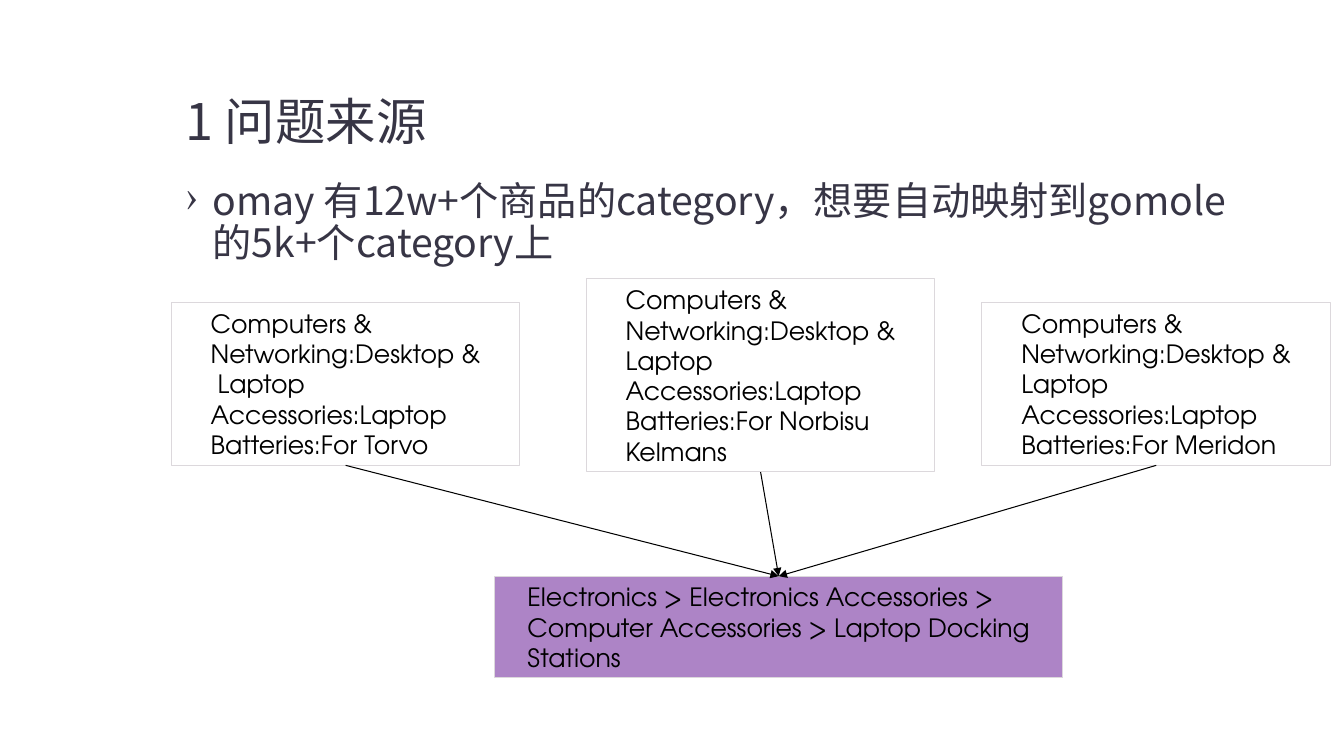
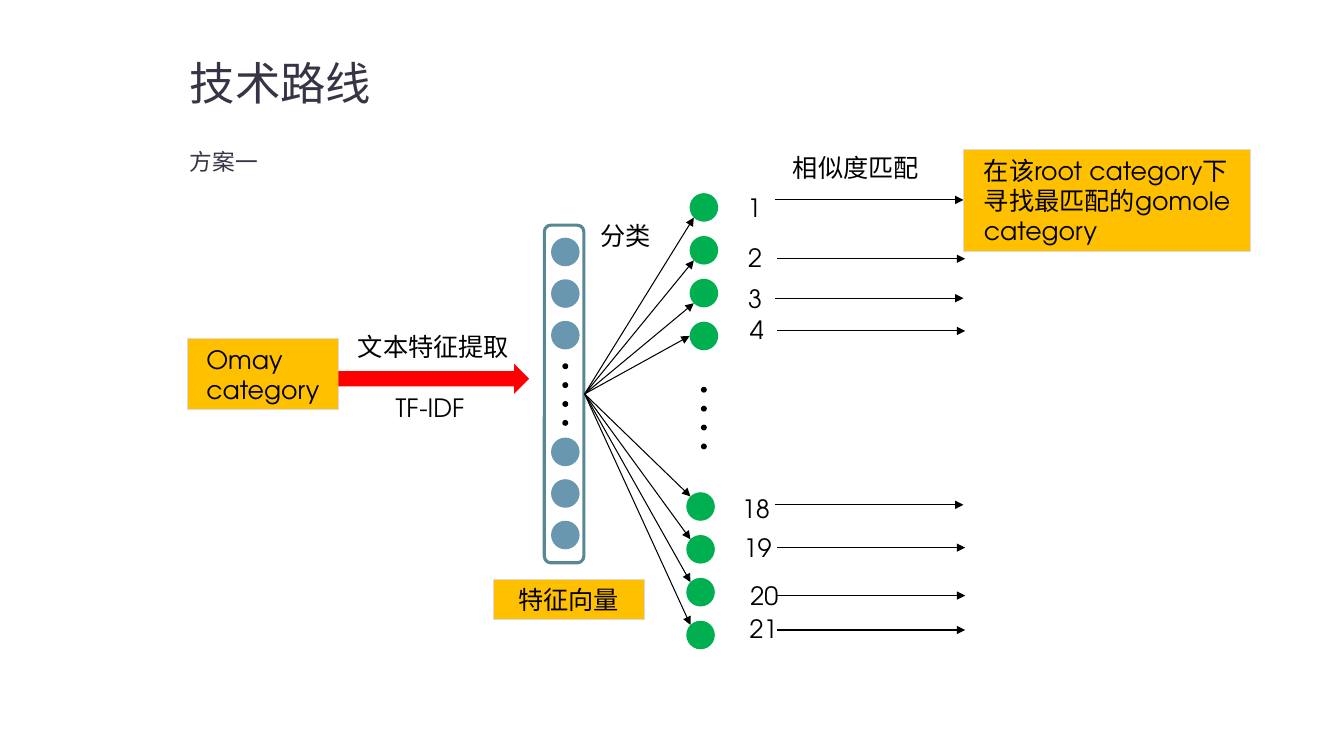
from lxml.etree import SubElement
from pptx import Presentation
from pptx.dml.color import RGBColor
from pptx.enum.shapes import MSO_CONNECTOR, MSO_SHAPE
from pptx.enum.text import MSO_ANCHOR, MSO_AUTO_SIZE, PP_ALIGN
from pptx.oxml.ns import qn
from pptx.util import Inches, Pt

COLORS = {
    "ink": "373545", "black": "000000", "white": "FFFFFF", "border": "DCD8DC",
    "purple": "AD84C6", "orange": "FFC000", "red": "FF0000",
    "frame": "588894", "feature": "6997AF", "root": "00B050",
}
LATIN, CHINESE = "TeX Gyre Adventor", "Noto Sans CJK SC"
COLUMNS, ROWS = 160, 90
DOT, CIRCLE = 0.7, 3.4
TITLE_SIZE = (128.4, 16.3)


class Deck:
    """Shared style, the grid and the slide being built."""

    def __init__(self):
        self.presentation = Presentation()
        self.presentation.slide_width = Inches(13.33)
        self.presentation.slide_height = Inches(7.5)
        self.slide = None

    def x(self, columns):
        return round(self.presentation.slide_width * columns / COLUMNS)

    def y(self, rows):
        return round(self.presentation.slide_height * rows / ROWS)

    def area(self, left, top, width, height):
        return self.x(left), self.y(top), self.x(width), self.y(height)

    def color(self, name):
        return RGBColor.from_string(COLORS[name])

    def format(self, paragraph, size, color="black", font=LATIN):
        paragraph.alignment = PP_ALIGN.LEFT
        for run in paragraph.runs:
            run.font.size = Pt(size)
            run.font.name = font
            run.font.color.rgb = self.color(color)
            SubElement(run.font._element, qn("a:ea"), typeface=CHINESE)

    def frame(self, shape, text, anchor, centred=False):
        text_frame = shape.text_frame
        text_frame.text = text
        text_frame.word_wrap = True
        text_frame.auto_size = MSO_AUTO_SIZE.NONE
        text_frame.vertical_anchor = anchor
        if centred:  # centre the block, keep its lines left-aligned
            text_frame._txBody.bodyPr.set("anchorCtr", "1")
        return text_frame.paragraphs

    def add_slide(self, left, top, text, sizes, gap=0):
        layout = self.presentation.slide_layouts[5]
        self.slide = self.presentation.slides.add_slide(layout)
        title = self.slide.shapes.title
        title.left, title.top, title.width, title.height = self.area(left, top, *TITLE_SIZE)
        paragraphs = self.frame(title, text, MSO_ANCHOR.BOTTOM)
        for index, (paragraph, size) in enumerate(zip(paragraphs, sizes)):
            self.format(paragraph, size, "ink", CHINESE)
            paragraph.line_spacing = 0.9
            paragraph.space_before = Pt(gap if index else 0)

    def bullet(self, left, top, width, height, text):
        shape = self.slide.shapes.add_textbox(*self.area(left, top, width, height))
        paragraph = self.frame(shape, text, MSO_ANCHOR.TOP)[0]
        self.format(paragraph, 28, "ink", CHINESE)
        paragraph.line_spacing = 0.9
        properties = paragraph._p.get_or_add_pPr()
        properties.set("marL", str(Inches(0.27)))
        properties.set("indent", str(-Inches(0.27)))
        SubElement(properties, qn("a:buChar"), char="›")

    def shape(self, kind, left, top, width, height, fill=None, line=None, weight=0.75):
        shape = self.slide.shapes.add_shape(kind, *self.area(left, top, width, height))
        shape.shadow.inherit = False
        if fill:
            shape.fill.solid()
            shape.fill.fore_color.rgb = self.color(fill)
        else:
            shape.fill.background()
        if line:
            shape.line.color.rgb = self.color(line)
            shape.line.width = Pt(weight)
        else:
            shape.line.fill.background()
        return shape

    def box(self, left, top, width, height, text, fill):
        shape = self.shape(MSO_SHAPE.RECTANGLE, left, top, width, height, fill, "border")
        for paragraph in self.frame(shape, text, MSO_ANCHOR.MIDDLE, True):
            self.format(paragraph, 18)
        return shape

    def label(self, center_x, center_y, text, width=22, height=4.8):
        shape = self.slide.shapes.add_textbox(
            *self.area(center_x - width / 2, center_y - height / 2, width, height))
        self.format(self.frame(shape, text, MSO_ANCHOR.MIDDLE, True)[0], 18)

    def circles(self, center_x, first_y, step, count, size, fill):
        """Draw a column of circles and return their centres."""
        centers = [(center_x, first_y + step * index) for index in range(count)]
        for x, y in centers:
            self.shape(MSO_SHAPE.OVAL, x - size / 2, y - size / 2, size, size, fill)
        return centers

    def arrow(self, start, end):
        connector = self.slide.shapes.add_connector(
            MSO_CONNECTOR.STRAIGHT,
            self.x(start[0]), self.y(start[1]), self.x(end[0]), self.y(end[1]))
        connector.line.color.rgb = self.color("black")
        connector.line.width = Pt(0.75)
        SubElement(connector.line._get_or_add_ln(), qn("a:tailEnd"), type="triangle")
        SubElement(connector._element.spPr, qn("a:effectLst"))
        return connector

    def join(self, source, target):
        """Link the bottom of one box to the top of another."""
        connector = self.arrow((0, 0), (1, 1))
        connector.begin_connect(source, 2)
        connector.end_connect(target, 0)


def build_problem(deck):
    deck.add_slide(20.9, 2.3, "1 问题来源", [36])
    deck.bullet(20.9, 21, 128.4, 60,
                "omay 有12w+个商品的category，想要自动映射到gomole的5k+个category上")

    # Source categories, all mapped to one target
    target = deck.box(58.9, 68.6, 67.6, 12.1,
                      "Electronics > Electronics Accessories > "
                      "Computer Accessories > Laptop Docking Stations", "purple")
    sources = [
        (20.4, 36, 19.4, "\n ", "Torvo"),
        (69.8, 33.2, 23, " ", "Norbisu Kelmans"),
        (116.9, 36, 19.4, " ", "Meridon"),
    ]
    for left, top, height, separator, maker in sources:
        text = (f"Computers & Networking:Desktop &{separator}"
                f"Laptop Accessories:Laptop Batteries:For {maker}")
        deck.join(deck.box(left, top, 41.5, height, text, "white"), target)


def build_route(deck):
    deck.add_slide(21.4, 5.2, "技术路线\n方案一", [32.4, 16.2], gap=29)

    # Text feature extraction
    deck.box(22.3, 40.3, 18, 8.5, "Omay category", "orange")
    deck.shape(MSO_SHAPE.RIGHT_ARROW, 40.3, 43.3, 22.7, 3.6, "red")
    deck.label(51.6, 41.3, "文本特征提取")
    deck.label(51.2, 48.5, "TF-IDF")

    # Feature vector
    deck.shape(MSO_SHAPE.ROUNDED_RECTANGLE, 64.8, 26.8, 4.7, 40.2, line="frame", weight=2.25)
    for first_y in (30, 53.8):
        deck.circles(67.3, first_y, 4.95, 3, CIRCLE, "feature")
    deck.circles(67.3, 43.6, 2.25, 4, DOT, "black")
    deck.box(58.7, 69, 18, 4.8, "特征向量", "orange")

    # Root categories, reached by a fan of arrows
    upper = deck.circles(83.8, 24.7, 5.1, 4, CIRCLE, "root")
    lower = deck.circles(83.4, 60.3, 5.1, 4, CIRCLE, "root")
    deck.circles(83.8, 46.4, 2.25, 4, DOT, "black")
    deck.label(74.5, 28, "分类")
    diagonal = 1.2
    ends = [(x - diagonal, y + diagonal) for x, y in upper[:-1]]
    ends.append((upper[-1][0] - CIRCLE / 2, upper[-1][1]))
    ends += [(x - diagonal, y - diagonal) for x, y in lower]
    for end in ends:
        deck.arrow((69.6, 46.9), end)

    # Numbered outputs: label centre, then arrow start
    outputs = [
        ("1", 89.8, 24.7, 92.3, 23.8), ("2", 89.9, 30.6, 92.5, 30.8),
        ("3", 89.9, 35.5, 92.3, 35.5), ("4", 90.1, 39.2, 92.5, 39.4),
        ("18", 90, 60.5, 92.3, 60.1), ("19", 90.2, 65.2, 92.5, 65.2),
        ("20", 91, 70.9, 92.5, 70.9), ("21", 90.9, 74.8, 92.5, 75),
    ]
    for number, label_x, label_y, arrow_x, arrow_y in outputs:
        deck.label(label_x, label_y, number, width=10)
        deck.arrow((arrow_x, arrow_y), (arrow_x + 22.4, arrow_y))

    # Similarity matching
    deck.label(101.9, 19.9, "相似度匹配")
    deck.box(114.7, 17.8, 34.2, 12.1,
             "在该root category下寻找最匹配的gomole category", "orange")


def main():
    deck = Deck()
    build_problem(deck)
    build_route(deck)
    deck.presentation.save("out.pptx")


if __name__ == "__main__":
    main()
